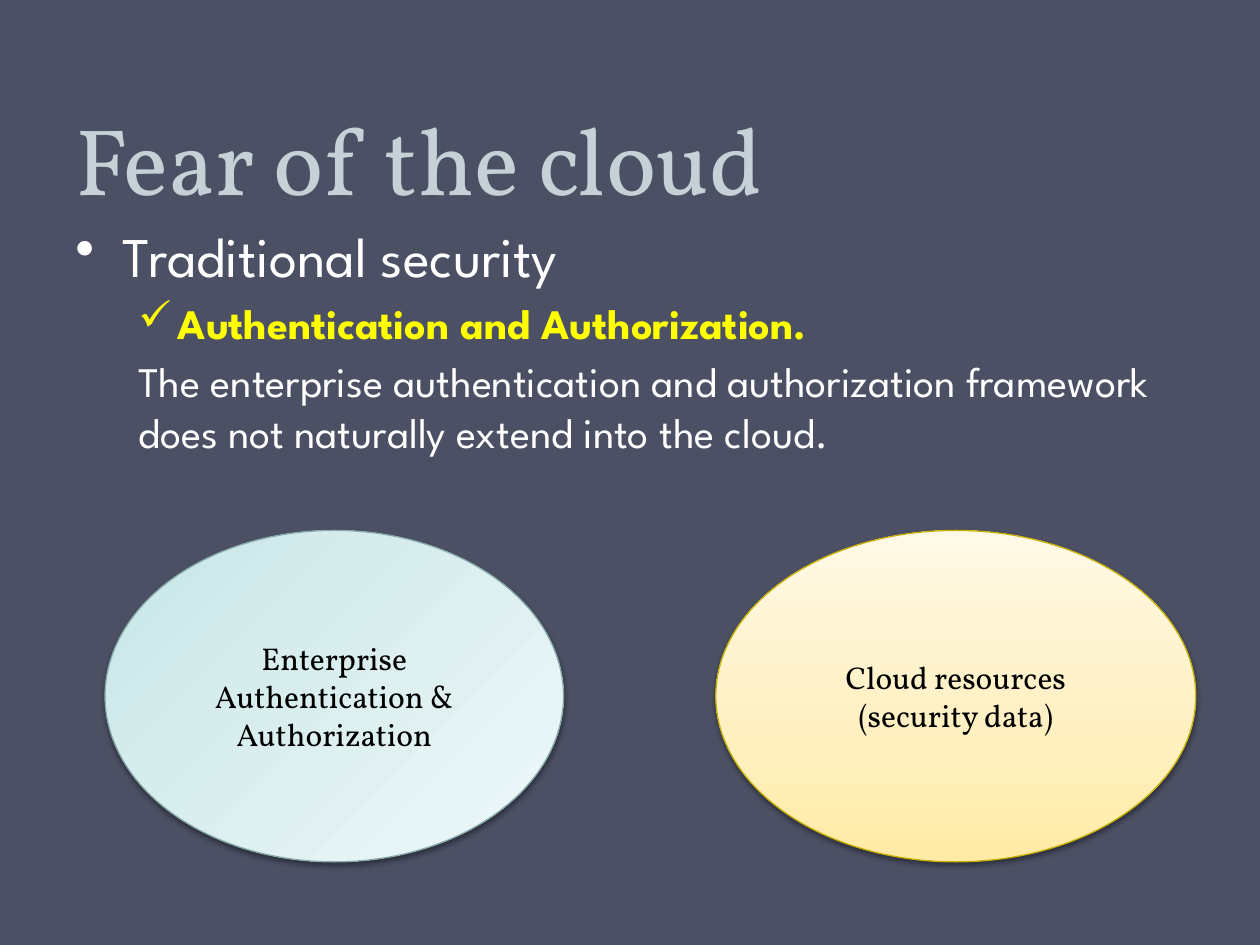
from dataclasses import dataclass

from lxml.etree import SubElement
from pptx import Presentation
from pptx.dml.color import RGBColor
from pptx.enum.shapes import MSO_SHAPE as Preset
from pptx.enum.text import MSO_ANCHOR as Anchor, PP_ALIGN as Align
from pptx.oxml.ns import qn
from pptx.util import Pt

SLATE = RGBColor(0x4B, 0x50, 0x64)
MIST = RGBColor(0xC5, 0xD1, 0xD7)
WHITE = RGBColor(0xFF, 0xFF, 0xFF)
YELLOW = RGBColor(0xFF, 0xFF, 0x00)
BLACK = RGBColor(0x00, 0x00, 0x00)
TEAL_LINE = RGBColor(0x88, 0xAA, 0xAB)
TEALS = tuple(map(RGBColor.from_string, ("C5E6E7", "D6ECED", "EFF8F9")))
GOLD_LINE = RGBColor(0xC8, 0xB0, 0x00)
GOLDS = tuple(map(RGBColor.from_string, ("FFEBA5", "FFF0BF", "FFF9E7")))

SERIF, SANS = "Vollkorn", "League Spartan"
STOPS = (0, 35, 100)
ELLIPSE_TOP, ELLIPSE_HEIGHT = 303.1, 189.4


@dataclass
class Point:
    text: str
    size: float
    color: RGBColor
    margin: float
    indent: float = 0
    level: int = 0
    bullet: str = ""
    bold: bool = False


@dataclass
class Domain:
    lines: tuple[str, ...]
    left: float
    width: float
    colors: tuple[RGBColor, ...]
    angle: int  # clockwise degrees
    outline: RGBColor


POINTS = [
    Point("Traditional security", 32, WHITE, 27, -27, bullet="•"),
    Point("Authentication and Authorization.", 24, YELLOW, 58.5, -22.5,
          level=1, bullet="✓", bold=True),
    Point("The enterprise authentication and authorization framework "
          "does not naturally extend into the cloud.", 24, WHITE, 36, level=1),
]
DOMAINS = [
    Domain(("Enterprise Authentication &", "Authorization"),
           60, 262, TEALS, 45, TEAL_LINE),
    Domain(("Cloud resources (security data)",),
           409, 274.3, GOLDS, 270, GOLD_LINE),
]


def add_text(paragraph, text: str, color: RGBColor, **formats) -> None:
    run = paragraph.add_run()
    run.text = text
    for name, value in formats.items():
        setattr(run.font, name, value)
    run.font.color.rgb = color


def add_frame(slide, left: float, top: float, width: float, height: float, anchor):
    frame = slide.shapes.add_textbox(Pt(left), Pt(top), Pt(width), Pt(height)).text_frame
    frame.word_wrap = True
    frame.vertical_anchor = anchor
    return frame


def next_paragraph(frame, index: int):
    return frame.add_paragraph() if index else frame.paragraphs[0]


def add_point(frame, index: int, point: Point) -> None:
    paragraph = next_paragraph(frame, index)
    paragraph.level = point.level
    properties = paragraph._p.get_or_add_pPr()
    properties.set("marL", str(Pt(point.margin)))
    properties.set("indent", str(Pt(point.indent)))
    if point.bullet:
        SubElement(properties, qn("a:buChar"), char=point.bullet)
    else:
        SubElement(properties, qn("a:buNone"))
    if index:
        paragraph.space_before = Pt(point.size * 0.2)
    add_text(paragraph, point.text, point.color,
             name=SANS, size=Pt(point.size), bold=point.bold)


def fill_gradient(shape, colors: tuple[RGBColor, ...], angle: int) -> None:
    shape.fill.gradient()
    shape.fill.gradient_angle = 360 - angle
    stops = shape._element.spPr.find(qn("a:gradFill")).find(qn("a:gsLst"))
    for stop in list(stops):
        stops.remove(stop)
    for position, color in zip(STOPS, colors):
        stop = SubElement(stops, qn("a:gs"), pos=str(position * 1000))
        SubElement(stop, qn("a:srgbClr"), val=str(color))


def add_soft_shadow(shape) -> None:
    shape.shadow.inherit = False
    effects = shape._element.spPr.find(qn("a:effectLst"))
    shadow = SubElement(effects, qn("a:outerShdw"), blurRad=str(Pt(3.1)),
                        dist=str(Pt(1.6)), dir=str(90 * 60000), rotWithShape="0")
    color = SubElement(shadow, qn("a:srgbClr"), val=str(BLACK))
    SubElement(color, qn("a:alpha"), val="38000")


def add_domain(slide, domain: Domain) -> None:
    ellipse = slide.shapes.add_shape(Preset.OVAL, Pt(domain.left), Pt(ELLIPSE_TOP),
                                     Pt(domain.width), Pt(ELLIPSE_HEIGHT))
    fill_gradient(ellipse, domain.colors, domain.angle)
    ellipse.line.color.rgb = domain.outline
    ellipse.line.width = Pt(0.75)
    add_soft_shadow(ellipse)
    frame = ellipse.text_frame
    frame.word_wrap = True
    frame.vertical_anchor = Anchor.MIDDLE
    for index, line in enumerate(domain.lines):
        paragraph = next_paragraph(frame, index)
        paragraph.alignment = Align.CENTER
        add_text(paragraph, line, BLACK, name=SERIF, size=Pt(18))


def main() -> None:
    deck = Presentation()
    deck.slide_width, deck.slide_height = Pt(720), Pt(540)
    slide = deck.slides.add_slide(deck.slide_layouts[6])
    slide.background.fill.solid()
    slide.background.fill.fore_color.rgb = SLATE

    # Title
    heading = add_frame(slide, 36, 0, 648, 126, Anchor.BOTTOM).paragraphs[0]
    heading.line_spacing = Pt(58)
    add_text(heading, "Fear of the cloud", MIST, name=SERIF, size=Pt(54))

    # Security points
    body = add_frame(slide, 36, 123, 648, 396, Anchor.TOP)
    for index, point in enumerate(POINTS):
        add_point(body, index, point)

    # Enterprise and cloud domains
    for domain in DOMAINS:
        add_domain(slide, domain)

    deck.save("out.pptx")


if __name__ == "__main__":
    main()
